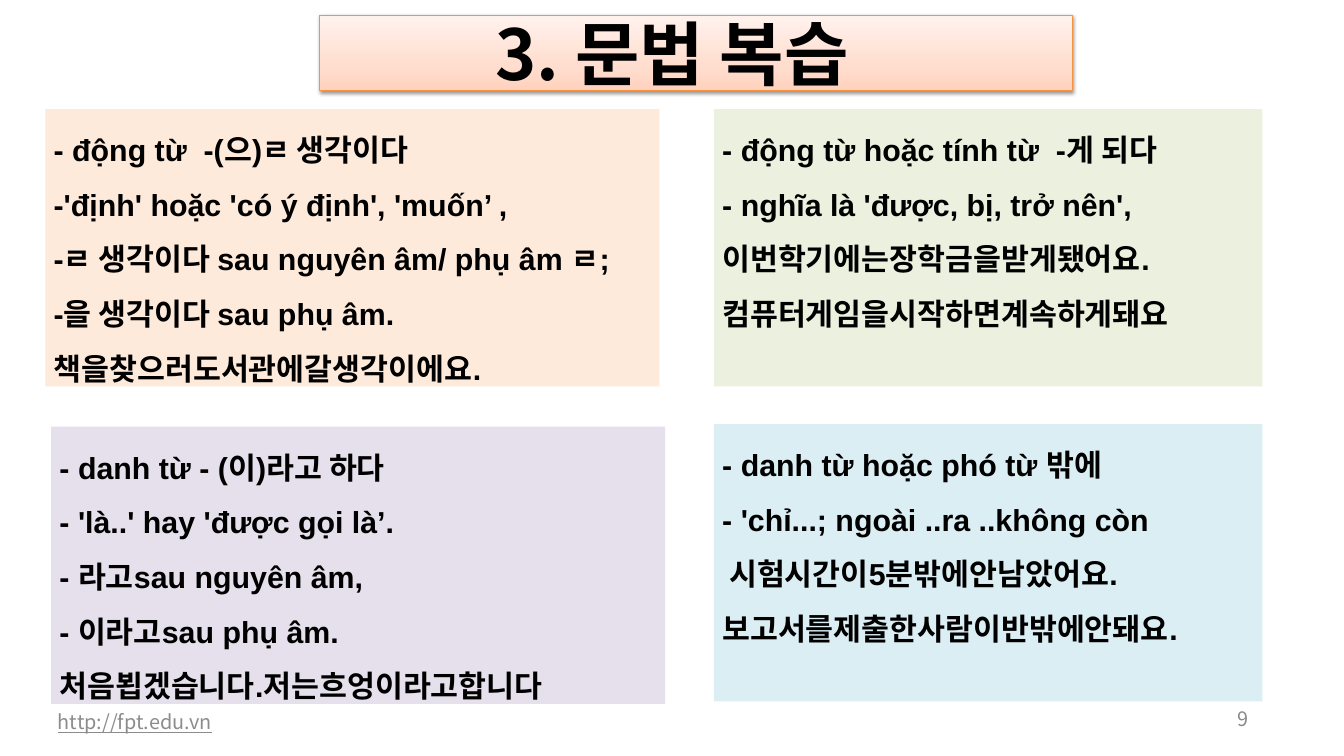
from pptx import Presentation
from pptx import util as u
from pptx.dml.color import RGBColor
from pptx.enum import shapes, text
from pptx.oxml import parse_xml
from pptx.oxml.ns import nsdecls

COLUMNS, ROWS = 16, 9
WIDTH, HEIGHT = u.Inches(16), u.Inches(9)
KOREAN = "Noto Sans CJK KR"

GRAMMAR_CARDS = [
    (0.54, 1.3, 7.31, "FDEADA", [
        "- động từ  -(으)ㄹ 생각이다",
        "-'định' hoặc 'có ý định', 'muốn’ ,",
        "-ㄹ 생각이다 sau nguyên âm/ phụ âm ㄹ;",
        "-을 생각이다 sau phụ âm.",
        "책을찾으러도서관에갈생각이에요."]),
    (8.5, 1.3, 6.53, "EBF1DE", [
        "- động từ hoặc tính từ  -게 되다",
        "- nghĩa là 'được, bị, trở nên',",
        "이번학기에는장학금을받게됐어요.",
        "컴퓨터게임을시작하면계속하게돼요"]),
    (0.61, 5.08, 7.31, "E6E0EC", [
        "- danh từ - (이)라고 하다",
        "- 'là..' hay 'được gọi là’.",
        "- 라고sau nguyên âm,",
        "- 이라고sau phụ âm.",
        "처음뵙겠습니다.저는흐엉이라고합니다"]),
    (8.5, 5.05, 6.53, "DBEEF4", [
        "- danh từ hoặc phó từ 밖에",
        "- 'chỉ...; ngoài ..ra ..không còn",
        " 시험시간이5분밖에안남았어요.",
        "보고서를제출한사람이반밖에안돼요."]),
]


def color(value):
    """Turn a hex string into a colour."""
    return RGBColor.from_string(value)


def area(column, row, columns, rows):
    """Return left, top, width and height of a grid area."""
    return (round(WIDTH * column / COLUMNS), round(HEIGHT * row / ROWS),
            round(WIDTH * columns / COLUMNS), round(HEIGHT * rows / ROWS))


def add_run(paragraph, words, size, font_name, font_color, bold=False, underline=False):
    """Add one formatted run with a Korean font for its Hangul."""
    run = paragraph.add_run()
    run.text = words
    font = run.font
    font.size, font.name = u.Pt(size), font_name
    font.bold, font.underline = bold, underline
    font.color.rgb = color(font_color)
    run._r.get_or_add_rPr().append(
        parse_xml(f'<a:ea {nsdecls("a")} typeface="{KOREAN}"/>'))


def set_frame(frame, anchor, horizontal=0.1, vertical=0.05):
    """Set wrapping, anchor and insets of a text frame."""
    frame.word_wrap = True
    frame.auto_size = text.MSO_AUTO_SIZE.NONE
    frame.vertical_anchor = anchor
    frame.margin_left = frame.margin_right = u.Inches(horizontal)
    frame.margin_top = frame.margin_bottom = u.Inches(vertical)


def format_title(title, words):
    """Place the title and give it a gradient, an outline and a shadow."""
    title.left, title.top, title.width, title.height = area(3.8, 0.18, 8.97, 0.9)
    stops = "".join(
        f'<a:gs pos="{position}000"><a:srgbClr val="{value}"/></a:gs>'
        for position, value in [(0, "FFD2BD"), (35, "FFDED0"), (100, "FFF2ED")])
    properties = title._element.spPr
    properties.append(parse_xml(
        f'<a:gradFill {nsdecls("a")} rotWithShape="1"><a:gsLst>{stops}</a:gsLst>'
        '<a:lin ang="16200000" scaled="1"/></a:gradFill>'))
    title.line.color.rgb = color("F69240")
    title.line.width = u.Pt(0.75)
    properties.append(parse_xml(
        f'<a:effectLst {nsdecls("a")}><a:outerShdw blurRad="{u.Pt(3.1)}" '
        f'dist="{u.Pt(1.6)}" dir="5400000" rotWithShape="0"><a:srgbClr val="000000">'
        '<a:alpha val="38000"/></a:srgbClr></a:outerShdw></a:effectLst>'))
    frame = title.text_frame
    set_frame(frame, text.MSO_ANCHOR.MIDDLE)
    frame.margin_right = u.Inches(0.67)
    paragraph = frame.paragraphs[0]
    paragraph.alignment = text.PP_ALIGN.CENTER
    add_run(paragraph, words, 60, KOREAN, "000000", bold=True)


def add_card(slide, column, row, columns, fill, lines):
    """Add a coloured card with one paragraph per grammar line."""
    card = slide.shapes.add_shape(
        shapes.MSO_SHAPE.RECTANGLE, *area(column, row, columns, 3.3))
    card.shadow.inherit = False
    card.fill.solid()
    card.fill.fore_color.rgb = color(fill)
    card.line.fill.background()
    frame = card.text_frame
    set_frame(frame, text.MSO_ANCHOR.TOP)
    for index, line in enumerate(lines):
        paragraph = frame.add_paragraph() if index else frame.paragraphs[0]
        paragraph.alignment = text.PP_ALIGN.LEFT
        paragraph.line_spacing = 1.5
        add_run(paragraph, line, 26, "Arial", "000000", bold=True)


def add_footer(slide, place, words, font_color, alignment, underline=False):
    """Add a small grey text at the foot of the slide."""
    frame = slide.shapes.add_textbox(*area(*place)).text_frame
    set_frame(frame, text.MSO_ANCHOR.MIDDLE, 0.14, 0.07)
    paragraph = frame.paragraphs[0]
    paragraph.alignment = alignment
    add_run(paragraph, words, 17, KOREAN, font_color, underline=underline)


def main():
    """Build the grammar review slide."""
    presentation = Presentation()
    presentation.slide_width, presentation.slide_height = WIDTH, HEIGHT
    slide = presentation.slides.add_slide(presentation.slide_layouts[5])
    add_footer(slide, (0.55, 8.35, 5.07, 0.48), "http://fpt.edu.vn",
               "8C8C8C", text.PP_ALIGN.LEFT, underline=True)
    add_footer(slide, (14.22, 8.35, 0.78, 0.41), "9", "898989", text.PP_ALIGN.RIGHT)
    format_title(slide.shapes.title, "3. 문법 복습")
    for card in GRAMMAR_CARDS:
        add_card(slide, *card)
    presentation.save("out.pptx")


if __name__ == "__main__":
    main()
